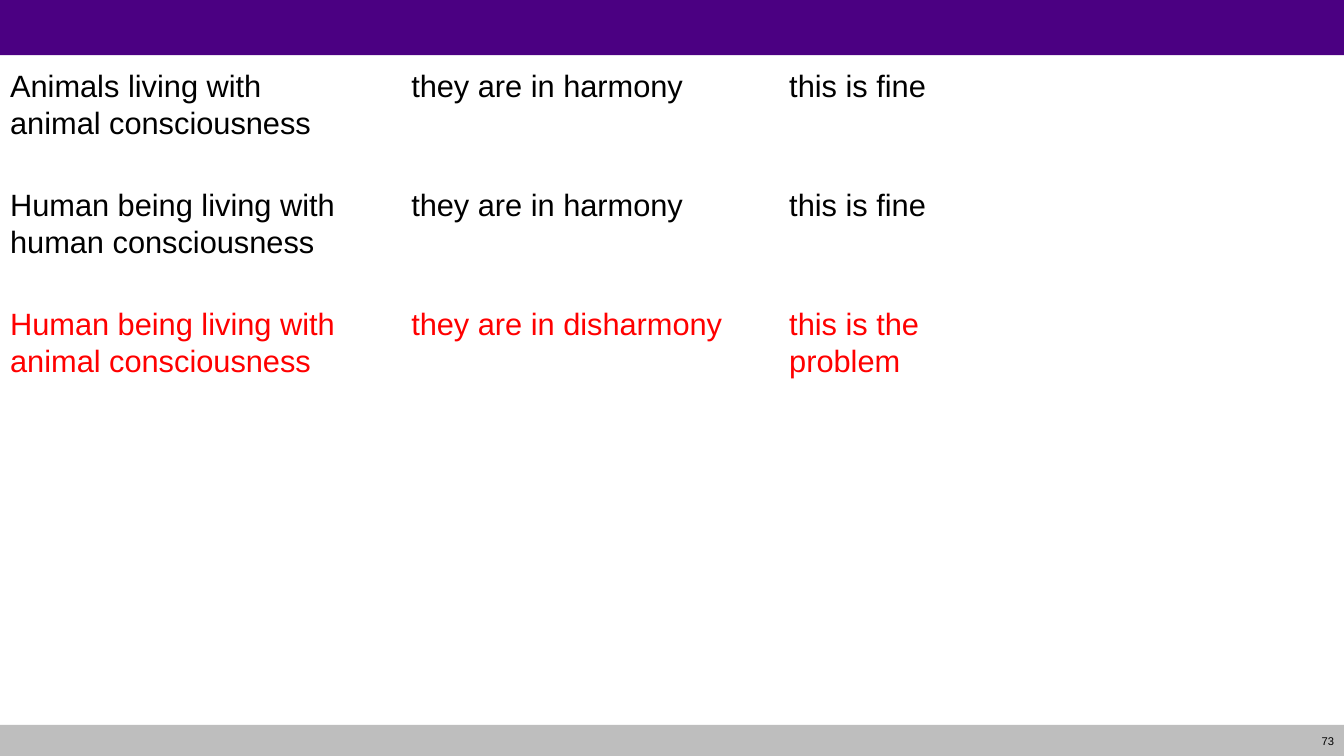
from dataclasses import dataclass

from pptx import Presentation
from pptx.dml.color import RGBColor
from pptx.enum.shapes import MSO_SHAPE as Preset
from pptx.enum.text import MSO_ANCHOR as Anchor, PP_ALIGN as Align
from pptx.slide import Slide
from pptx.table import _Cell as Cell
from pptx.text.text import _Paragraph as Paragraph
from pptx.util import Pt

SLIDE_WIDTH, SLIDE_HEIGHT = 960, 540
FOOTER_TOP = 517.7
BLACK, WHITE, RED = "000000", "FFFFFF", "FF0000"
COLUMN_WIDTHS = (286.5, 270, 162)
CELL_FORMAT = {
    "margin_left": Pt(5.76),
    "margin_right": Pt(5.76),
    "margin_top": Pt(0),
    "margin_bottom": Pt(0),
    "vertical_anchor": Anchor.TOP,
}


@dataclass(frozen=True)
class Bar:
    top: float
    height: float
    color: str


@dataclass(frozen=True)
class Row:
    height: float
    texts: tuple[str, str, str]
    color: str = BLACK


BARS = (
    Bar(0, 39.5, "4B0082"),
    Bar(FOOTER_TOP, SLIDE_HEIGHT - FOOTER_TOP, "BEBEBE"),
)
ROWS = (
    Row(85, ("Animals living with\nanimal consciousness", "they are in harmony", "this is fine")),
    Row(85, ("Human being living with human consciousness", "they are in harmony", "this is fine")),
    Row(67, ("Human being living with animal consciousness", "they are in disharmony",
             "this is the problem"), RED),
)


def rgb(color: str) -> RGBColor:
    return RGBColor.from_string(color)


def apply_format(target: object, values: dict[str, object]) -> None:
    for name, value in values.items():
        setattr(target, name, value)


def format_font(paragraph: Paragraph, size: float, color: str) -> None:
    for run in paragraph.runs:
        apply_format(run.font, {"name": "Arial", "size": Pt(size), "bold": False})
        run.font.color.rgb = rgb(color)


def draw_bar(slide: Slide, bar: Bar) -> None:
    shape = slide.shapes.add_shape(
        Preset.RECTANGLE, Pt(0), Pt(bar.top), Pt(SLIDE_WIDTH), Pt(bar.height))
    shape.shadow.inherit = False
    shape.fill.solid()
    shape.fill.fore_color.rgb = rgb(bar.color)
    shape.line.fill.background()


def draw_page_number(slide: Slide, number: str) -> None:
    width = 44.6
    box = slide.shapes.add_textbox(
        Pt(SLIDE_WIDTH - width), Pt(FOOTER_TOP), Pt(width), Pt(23))
    apply_format(box.text_frame, {
        "word_wrap": True, "vertical_anchor": Anchor.MIDDLE, "text": number})
    paragraph = box.text_frame.paragraphs[0]
    paragraph.alignment = Align.RIGHT
    format_font(paragraph, 8, BLACK)


def fill_cell(cell: Cell, text: str, color: str) -> None:
    apply_format(cell, {**CELL_FORMAT, "text": text})
    cell.fill.solid()
    cell.fill.fore_color.rgb = rgb(WHITE)
    for paragraph in cell.text_frame.paragraphs:
        paragraph.line_spacing = 1.07
        format_font(paragraph, 22, color)


def draw_table(slide: Slide) -> None:
    height = sum(row.height for row in ROWS)
    table = slide.shapes.add_table(
        len(ROWS), len(COLUMN_WIDTHS), Pt(1.5), Pt(48.2),
        Pt(sum(COLUMN_WIDTHS)), Pt(height)).table
    for column, width in zip(table.columns, COLUMN_WIDTHS):
        column.width = Pt(width)
    for table_row, row in zip(table.rows, ROWS):
        table_row.height = Pt(row.height)
        for cell, text in zip(table_row.cells, row.texts):
            fill_cell(cell, text, row.color)


def main() -> None:
    presentation = Presentation()
    apply_format(presentation, {
        "slide_width": Pt(SLIDE_WIDTH), "slide_height": Pt(SLIDE_HEIGHT)})
    slide = presentation.slides.add_slide(presentation.slide_layouts[6])
    for bar in BARS:
        draw_bar(slide, bar)
    draw_page_number(slide, "73")
    draw_table(slide)
    presentation.save("out.pptx")


if __name__ == "__main__":
    main()
